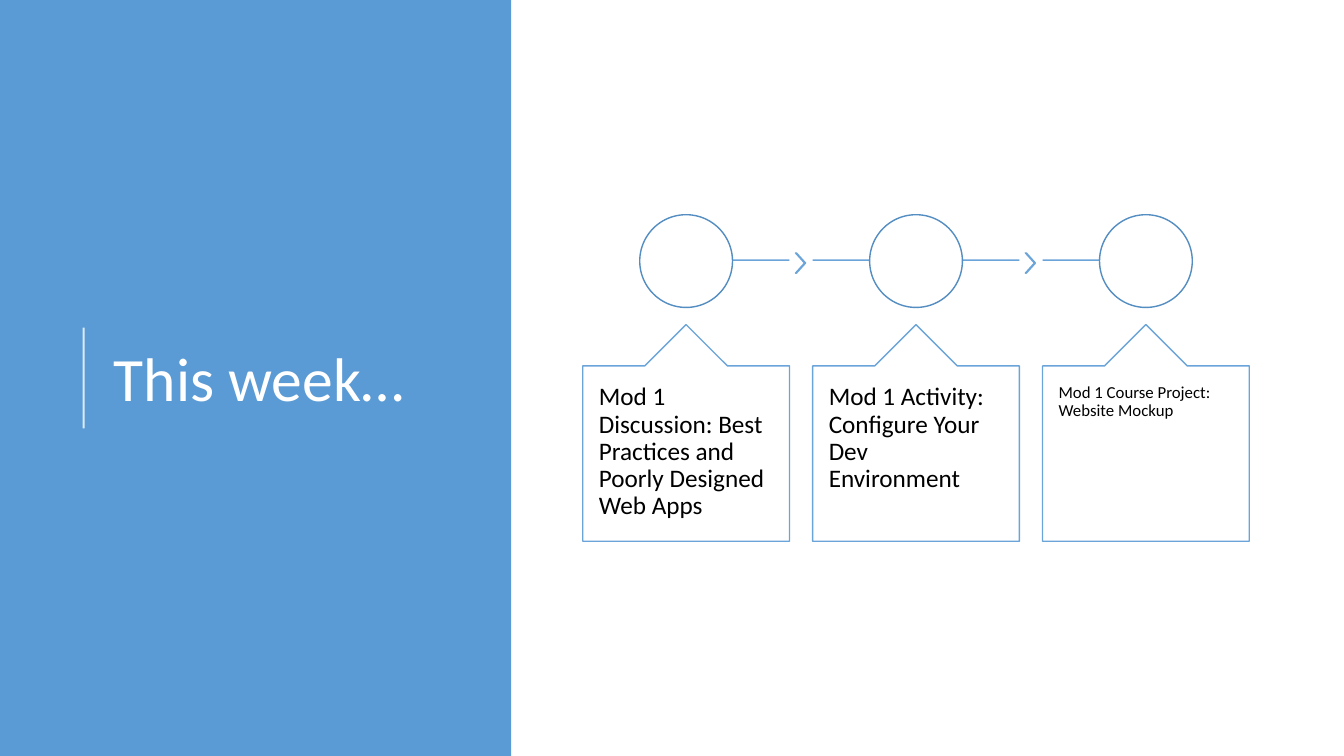
from lxml.etree import SubElement
from pptx import Presentation
from pptx.dml.color import RGBColor
from pptx.enum.shapes import MSO_CONNECTOR, MSO_SHAPE
from pptx.enum.text import MSO_ANCHOR, MSO_AUTO_SIZE, PP_ALIGN
from pptx.oxml.ns import qn
from pptx.util import Inches, Pt

TITLE = "This week…"
TASKS = [
    ("Mod 1 Discussion: Best Practices and Poorly Designed Web Apps", 18),
    ("Mod 1 Activity: Configure Your Dev Environment", 18),
    ("Mod 1 Course Project: Website Mockup", 12),
]
COLORS = {"blue": "5B9BD5", "ring": "538DC1", "white": "FFFFFF", "black": "000000"}
FONT = "Calibri"

FIRST_LEFT, PITCH = 5.78, 2.28
CALLOUT_TOP, CALLOUT_WIDTH, CALLOUT_HEIGHT = 3.22, 2.05, 2.15
CIRCLE_TOP, CIRCLE_SIZE = 2.13, 0.92
TRACK_Y = 2.58
CHEVRON_OFFSET, CHEVRON_TOP, CHEVRON_WIDTH, CHEVRON_HEIGHT = 2.11, 2.51, 0.1, 0.2


def rgb(name):
    return RGBColor.from_string(COLORS[name])


def set_outline(line, color, width=1, opacity=100):
    line.color.rgb = rgb(color)
    line.width = Pt(width)
    if opacity < 100:
        srgb = line.fill._xPr.find(".//" + qn("a:srgbClr"))
        SubElement(srgb, qn("a:alpha"), val=str(opacity * 1000))


def add_block(slide, preset, box, fill, outline=None, opacity=100, adjustments=()):
    block = slide.shapes.add_shape(preset, *map(Inches, box))
    block.shadow.inherit = False
    block.fill.solid()
    block.fill.fore_color.rgb = rgb(fill)
    if outline:
        set_outline(block.line, outline, opacity=opacity)
    else:
        block.line.fill.background()
    for index, value in enumerate(adjustments):
        block.adjustments[index] = value
    return block


def add_rule(slide, start, end, color, width, opacity):
    rule = slide.shapes.add_connector(MSO_CONNECTOR.STRAIGHT, *map(Inches, start + end))
    set_outline(rule.line, color, width, opacity)
    SubElement(rule.element.spPr, qn("a:effectLst"))


def write(shape, text, size, color, frame_format):
    frame = shape.text_frame
    frame.text = text
    for key, value in frame_format.items():
        setattr(frame, key, value)
    paragraph = frame.paragraphs[0]
    paragraph.alignment = PP_ALIGN.LEFT
    paragraph.line_spacing = 0.9
    for key, value in {"name": FONT, "size": Pt(size)}.items():
        setattr(paragraph.runs[0].font, key, value)
    paragraph.runs[0].font.color.rgb = rgb(color)


def add_heading(slide):
    heading = slide.shapes.title
    place = {"left": 1.03, "top": 0.78, "width": 3.69, "height": 6.02}
    for key, value in place.items():
        setattr(heading, key, Inches(value))
    write(heading, TITLE, 44, "white", {
        "word_wrap": True,
        "auto_size": MSO_AUTO_SIZE.NONE,
        "vertical_anchor": MSO_ANCHOR.MIDDLE,
    })
    panel = add_block(slide, MSO_SHAPE.RECTANGLE, (0, 0, 5.07, 7.5), "blue")
    heading.element.addprevious(panel.element)
    add_rule(slide, (0.83, 4.25), (0.83, 3.25), "white", 1.5, 80)


def add_task(slide, index, text, size):
    left = FIRST_LEFT + index * PITCH
    center = left + CALLOUT_WIDTH / 2
    is_first, is_last = index == 0, index == len(TASKS) - 1

    track_start = center if is_first else left
    track_end = center if is_last else left + CALLOUT_WIDTH
    add_rule(slide, (track_start, TRACK_Y), (track_end, TRACK_Y), "blue", 1, 90)
    if not is_last:
        add_block(slide, MSO_SHAPE.CHEVRON,
                  (left + CHEVRON_OFFSET, CHEVRON_TOP, CHEVRON_WIDTH, CHEVRON_HEIGHT),
                  "white", "blue", 90, [0.9])
    add_block(slide, MSO_SHAPE.OVAL,
              (center - CIRCLE_SIZE / 2, CIRCLE_TOP, CIRCLE_SIZE, CIRCLE_SIZE),
              "white", "ring")

    callout = add_block(slide, MSO_SHAPE.UP_ARROW_CALLOUT,
                        (left, CALLOUT_TOP, CALLOUT_WIDTH, CALLOUT_HEIGHT),
                        "white", "blue", 90, [0.5, 0.2, 0.2, 1])
    write(callout, text, size, "black", {
        "word_wrap": True,
        "vertical_anchor": MSO_ANCHOR.TOP,
        "margin_left": Inches(0.16),
        "margin_right": Inches(0.16),
        "margin_top": Inches(0.18),
        "margin_bottom": Inches(0.18),
    })


def main():
    presentation = Presentation()
    presentation.slide_width = Inches(13.33)
    presentation.slide_height = Inches(7.5)
    slide = presentation.slides.add_slide(presentation.slide_layouts[5])
    add_heading(slide)
    for index, (text, size) in enumerate(TASKS):
        add_task(slide, index, text, size)
    presentation.save("out.pptx")


if __name__ == "__main__":
    main()
